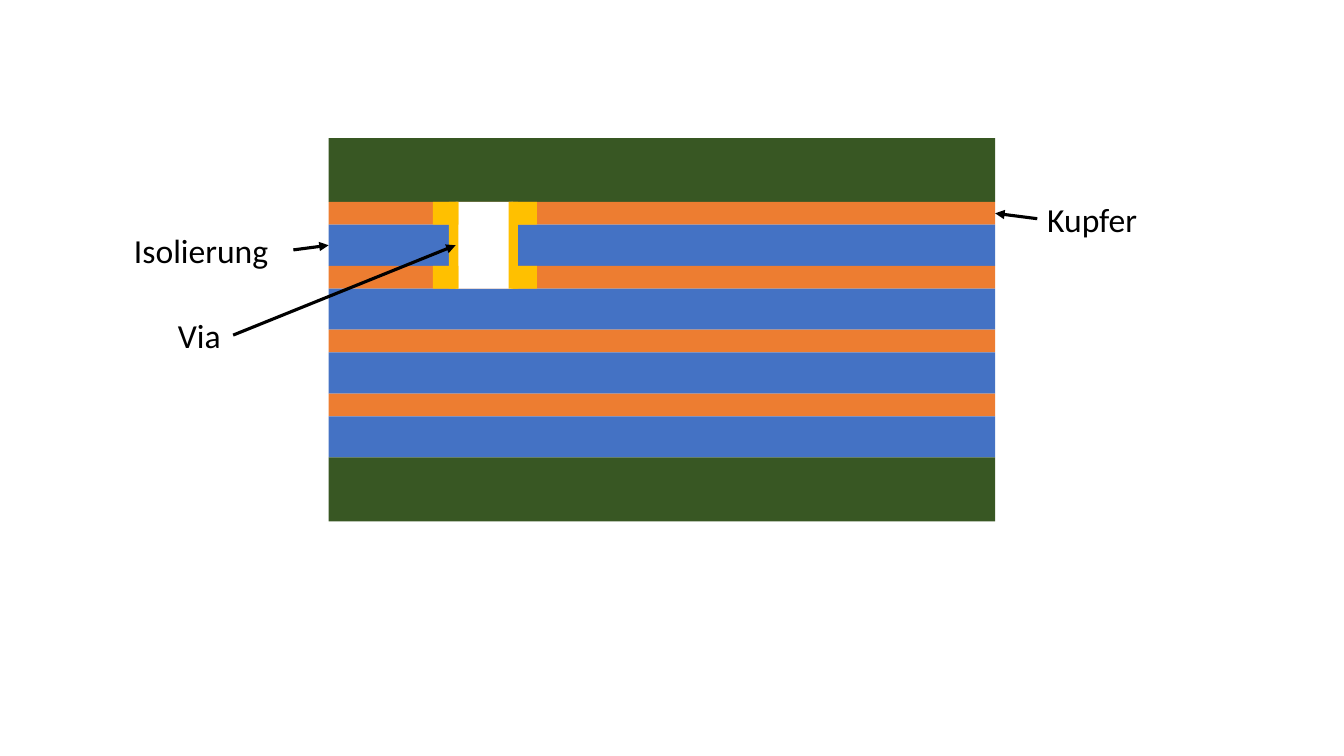
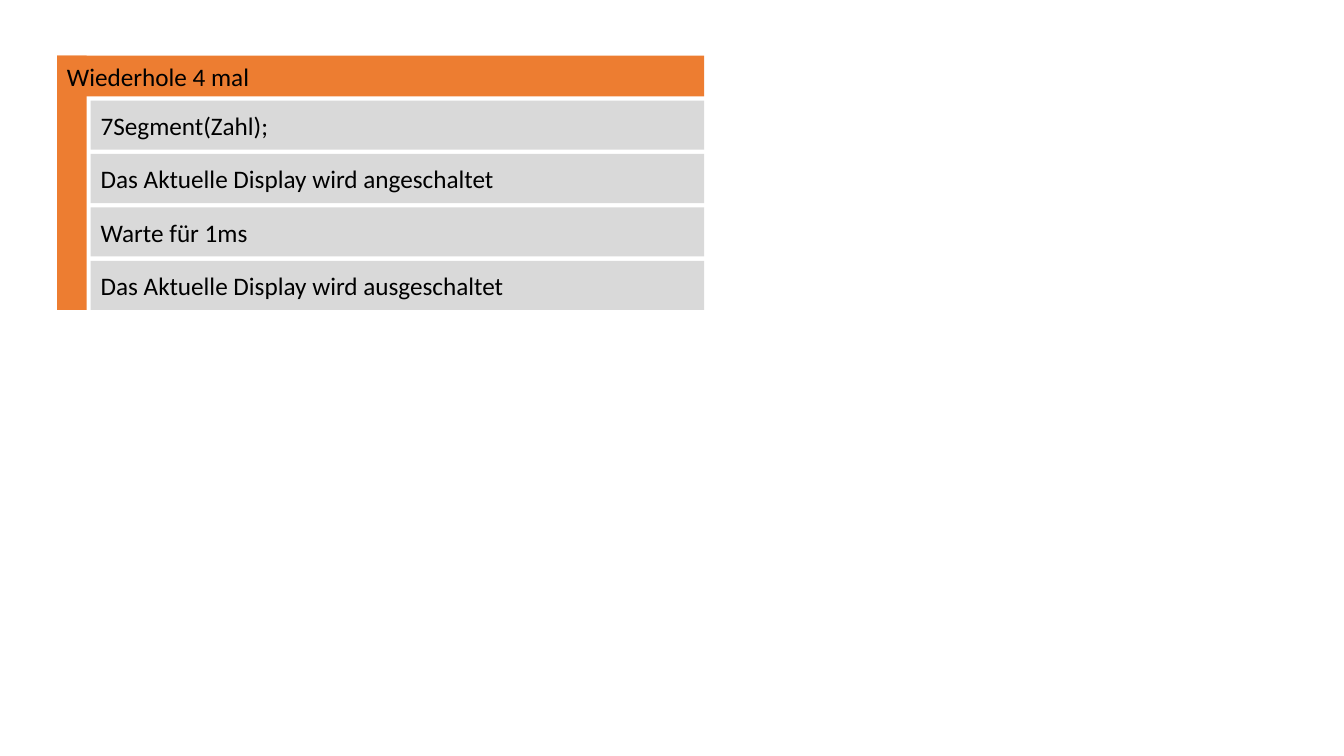
"""Build a board cross-section slide and a loop diagram slide, with lengths in percent of the slide."""
import pptx
import pptx.util
import pptx.dml.color
import pptx.enum.shapes
import pptx.enum.text
import pptx.oxml.ns
from lxml import etree

HUES = {
    "mask": "385723",
    "copper": "ED7D31",
    "core": "4472C4",
    "via": "FFC000",
    "hole": "FFFFFF",
    "loop": "ED7D31",
    "step": "D9D9D9",
    "ink": "000000",
}
FONT = "Calibri"
WIDE, HIGH = pptx.util.Inches(13.333), pptx.util.Inches(7.5)

LEFT, TOP, SPAN = 24.45, 18.27, 49.6
PITCH, FOIL = 8.45, 3
CORE = PITCH - FOIL
LAYERS = 4
TALL = 6.66

STEPS = [
    "7Segment(Zahl);",
    "Das Aktuelle Display wird angeschaltet",
    "Warte für 1ms",
    "Das Aktuelle Display wird ausgeschaltet",
]


def across(share):
    return round(WIDE * share / 100)


def down(share):
    return round(HIGH * share / 100)


def area(x, y, w, h):
    return across(x), down(y), across(w), down(h)


def color(name):
    return pptx.dml.color.RGBColor.from_string(HUES[name])


def write(shape, text, size=18, hue="ink", anchor="MIDDLE", grow=False):
    frame = shape.text_frame
    frame.word_wrap = True
    frame.vertical_anchor = pptx.enum.text.MSO_ANCHOR[anchor]
    if grow:
        frame.auto_size = pptx.enum.text.MSO_AUTO_SIZE.SHAPE_TO_FIT_TEXT
    line = frame.paragraphs[0]
    line.alignment = pptx.enum.text.PP_ALIGN.LEFT
    run = line.add_run()
    run.text = text
    run.font.name = FONT
    run.font.size = pptx.util.Pt(size)
    run.font.color.rgb = color(hue)


def block(slide, hue, x, y, w, h, text=None):
    shape = slide.shapes.add_shape(
        pptx.enum.shapes.MSO_SHAPE.RECTANGLE, *area(x, y, w, h))
    shape.shadow.inherit = False
    shape.fill.solid()
    shape.fill.fore_color.rgb = color(hue)
    shape.line.fill.background()
    if text:
        write(shape, text)


def arrow(slide, start, tip):
    line = slide.shapes.add_connector(
        pptx.enum.shapes.MSO_CONNECTOR.STRAIGHT,
        across(start[0]), down(start[1]), across(tip[0]), down(tip[1]))
    line.line.width = pptx.util.Pt(2.25)
    line.line.color.rgb = color("ink")
    name = pptx.oxml.ns.qn
    props = line.line._get_or_add_ln()
    etree.SubElement(props, name("a:tailEnd"), type="triangle")
    etree.SubElement(props.getparent(), name("a:effectLst"))


def label(slide, text, x, y, w, tip):
    start = x if tip[0] < x else x + w
    arrow(slide, (start, y + TALL / 2), tip)
    box = slide.shapes.add_textbox(*area(x, y, w, TALL))
    write(box, text, size=24, anchor="TOP", grow=True)


def board(slide):
    block(slide, "mask", LEFT, TOP, SPAN, PITCH)
    for row in range(1, LAYERS + 1):
        y = TOP + row * PITCH
        block(slide, "copper", LEFT, y, SPAN, FOIL)
        block(slide, "core", LEFT, y + FOIL, SPAN, CORE)
    block(slide, "mask", LEFT, TOP + (LAYERS + 1) * PITCH, SPAN, PITCH)


def via(slide):
    y = TOP + PITCH
    depth = PITCH + FOIL
    block(slide, "hole", 33.9, y, 4.28, depth)
    for wall, pad in ((33.4, 32.2), (37.84, 38.04)):
        block(slide, "via", wall, y, 0.7, depth)
        for row in range(2):
            block(slide, "via", pad, y + row * PITCH, 1.9, FOIL)


def section(slide):
    board(slide)
    via(slide)
    foil = TOP + PITCH + FOIL / 2
    core = TOP + PITCH + FOIL + CORE / 2
    label(slide, "Kupfer", 77.18, 25.6, 8.4, (LEFT + SPAN, foil))
    label(slide, "Isolierung", 9.23, 29.73, 12.6, (LEFT, core))
    label(slide, "Via", 12.5, 41, 4.85, (33.9, core))


def loop(slide):
    x, y, right = 4.25, 7.35, 52.4
    first, inset, pitch, h = 13.3, 6.75, 7.07, 6.5
    end = first + (len(STEPS) - 1) * pitch + h
    block(slide, "loop", x, y, 2.2, end - y)
    block(slide, "loop", x, y, right - x, 5.4, "Wiederhole 4 mal")
    for row, text in enumerate(STEPS):
        block(slide, "step", inset, first + row * pitch, right - inset, h, text)


def main():
    deck = pptx.Presentation()
    deck.slide_width, deck.slide_height = WIDE, HIGH
    for draw in (section, loop):
        draw(deck.slides.add_slide(deck.slide_layouts[6]))
    deck.save("out.pptx")


if __name__ == "__main__":
    main()
